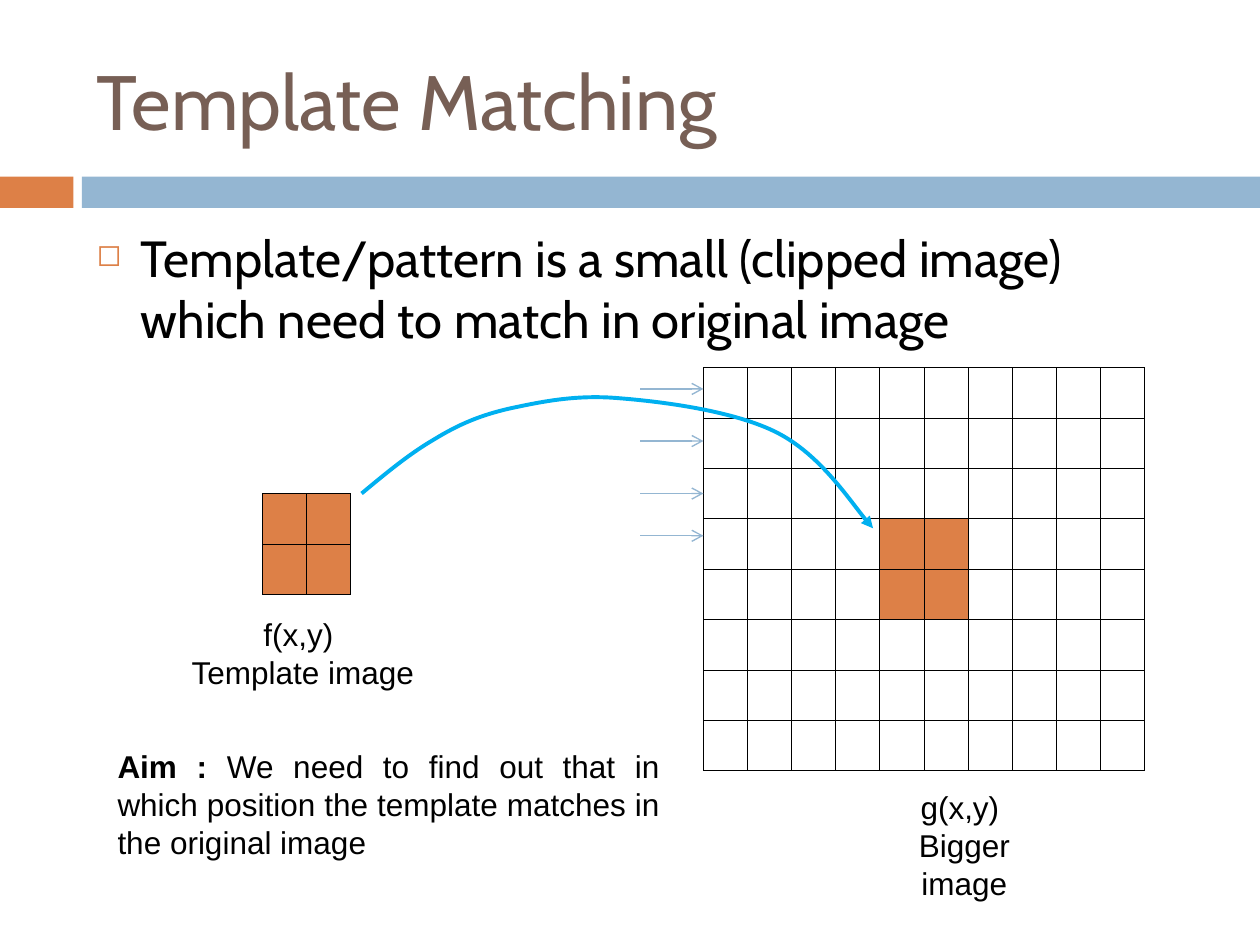
from lxml.etree import SubElement
from pptx import Presentation
from pptx.dml.color import RGBColor
from pptx.enum.shapes import MSO_CONNECTOR as Connector, MSO_SHAPE as Shape
from pptx.enum.text import MSO_ANCHOR as Anchor, MSO_AUTO_SIZE as AutoSize, PP_ALIGN as Align
from pptx.oxml import parse_xml
from pptx.oxml.ns import nsdecls, qn
from pptx.util import Cm, Pt

COLORS = {
    "orange": "DD8047",
    "band": "94B6D2",
    "title": "775F55",
    "text": "000000",
    "match": "00B0F0",
}


def rgb(name):
    return RGBColor.from_string(COLORS[name])


class SlideBuilder:
    heading_font = "Cabin"
    label_font = "Arial"

    def __init__(self, slide):
        self.slide = slide
        self.shapes = slide.shapes

    def bar(self, left, top, width, height, color):
        bar = self.shapes.add_shape(Shape.RECTANGLE, Cm(left), Cm(top), Cm(width), Cm(height))
        bar.shadow.inherit = False
        bar.fill.solid()
        bar.fill.fore_color.rgb = rgb(color)
        bar.line.fill.background()

    def text(self, box, paragraphs, size, font=label_font, color="text",
             align=Align.LEFT, anchor=Anchor.TOP, wrap=True, grow=False, bullet=None):
        """Each paragraph is a list of (text, bold) runs."""
        frame = self.shapes.add_textbox(*map(Cm, box)).text_frame
        frame.word_wrap = wrap
        frame.vertical_anchor = anchor
        frame.auto_size = AutoSize.SHAPE_TO_FIT_TEXT if grow else AutoSize.NONE
        for index, runs in enumerate(paragraphs):
            paragraph = frame.paragraphs[0] if index == 0 else frame.add_paragraph()
            paragraph.alignment = align
            if bullet:
                self.bullet(paragraph, bullet)
            for words, bold in runs:
                run = paragraph.add_run()
                run.text = words
                run.font.name = font
                run.font.size = Pt(size)
                run.font.bold = bold
                run.font.color.rgb = rgb(color)

    def bullet(self, paragraph, char, indent=0.89):
        props = paragraph._p.get_or_add_pPr()
        props.set("marL", str(Cm(indent)))
        props.set("indent", str(-Cm(indent)))
        color = SubElement(props, qn("a:buClr"))
        SubElement(color, qn("a:srgbClr"), val=COLORS["orange"])
        SubElement(props, qn("a:buSzPct"), val="60000")
        SubElement(props, qn("a:buChar"), char=char)

    def grid(self, left, top, width, height, rows, cols, filled):
        """A pixel grid; filled holds the (row, column) pairs to colour."""
        frame = self.shapes.add_table(rows, cols, Cm(left), Cm(top), Cm(width), Cm(height))
        table = frame.table
        table.first_row = table.horz_banding = False
        for row in table.rows:
            row.height = Cm(height / rows)
        for column in table.columns:
            column.width = Cm(width / cols)
        for r in range(rows):
            for c in range(cols):
                cell = table.cell(r, c)
                cell.margin_top = cell.margin_bottom = 0
                cell.text_frame.paragraphs[0].font.size = Pt(12)
                if (r, c) in filled:
                    cell.fill.solid()
                    cell.fill.fore_color.rgb = rgb("orange")
                else:
                    cell.fill.background()
                self.borders(cell)

    def borders(self, cell, width=0.45):
        props = cell._tc.get_or_add_tcPr()
        for position, side in enumerate(("lnL", "lnR", "lnT", "lnB")):
            props.insert(position, parse_xml(
                f'<a:{side} {nsdecls("a")} w="{Pt(width)}"><a:solidFill>'
                f'<a:srgbClr val="{COLORS["text"]}"/></a:solidFill></a:{side}>'))

    def stroke(self, item, color, width, head):
        item.line.color.rgb = rgb(color)
        item.line.width = Pt(width)
        SubElement(item.line._get_or_add_ln(), qn("a:tailEnd"), type=head)

    def arrow(self, x1, y1, x2, y2):
        arrow = self.shapes.add_connector(Connector.STRAIGHT, Cm(x1), Cm(y1), Cm(x2), Cm(y2))
        self.stroke(arrow, "band", 0.79, "arrow")
        SubElement(arrow._element.spPr, qn("a:effectLst"))

    def curve(self, start, points):
        """A Bézier path: every three points are two controls and an end."""
        emu = [(Cm(x), Cm(y)) for x, y in points]
        builder = self.shapes.build_freeform(Cm(start[0]), Cm(start[1]))
        builder.add_line_segments(emu, close=False)
        curve = builder.convert_to_shape()
        curve.shadow.inherit = False
        curve.fill.background()
        self.stroke(curve, "match", 2.25, "triangle")
        outline = next(curve._element.iter(qn("a:path")))
        segments = outline.findall(qn("a:lnTo"))
        for first in range(0, len(segments), 3):
            bezier = SubElement(outline, qn("a:cubicBezTo"))
            for segment in segments[first:first + 3]:
                bezier.append(segment[0])
                outline.remove(segment)


def main():
    deck = Presentation()
    deck.slide_width, deck.slide_height = Cm(25.4), Cm(19.05)
    page = SlideBuilder(deck.slides.add_slide(deck.slide_layouts[6]))

    # Header
    page.bar(0, 3.56, 1.48, 0.63, "orange")
    page.bar(1.65, 3.56, 23.75, 0.63, "band")
    page.text((1.7, 0.64, 22.65, 2.75), [[("Template Matching", False)]], 44,
              font=page.heading_font, color="title", anchor=Anchor.MIDDLE)

    # Definition
    definition = "Template/pattern is a small (clipped image) which need to match in original image"
    page.text((1.7, 4.45, 22.65, 2.75), [[(definition, False)]], 29,
              font=page.heading_font, bullet="◻")

    # Bigger image and template grids
    page.grid(14.18, 7.41, 8.89, 8.13, 8, 10, {(r, c) for r in (3, 4) for c in (4, 5)})
    page.grid(5.29, 9.95, 1.78, 2.03, 2, 2, {(r, c) for r in (0, 1) for c in (0, 1)})

    # Template to its matching position
    page.curve((7.29, 9.95), [
        (7.77, 9.55), (8.25, 9.15), (8.75, 8.86),
        (9.24, 8.56), (9.68, 8.37), (10.3, 8.23),
        (10.92, 8.1), (11.61, 7.95), (12.5, 8.03),
        (13.38, 8.1), (14.83, 8.29), (15.68, 8.73),
        (16.53, 9.17), (17.28, 10.31), (17.6, 10.65),
    ])

    # Captions
    captions = [
        ((3.58, 12.27, 5.05, 1.78), "f(x,y) ", "Template image"),
        ((17.32, 15.77, 4.24, 1.78), "g(x,y) ", "Bigger image"),
    ]
    for box, function, meaning in captions:
        page.text(box, [[(function, False)], [(meaning, False)]], 18,
                  align=Align.CENTER, wrap=False, grow=True)

    # Scan rows
    for y in (7.84, 8.89, 9.95, 10.8):
        page.arrow(12.91, y, 14.18, y)

    # Aim
    goal = " We need to find out that in which position the template matches in the original image"
    page.text((2.12, 14.94, 11.43, 2.54), [[("Aim :", True), (goal, False)]], 18,
              align=Align.JUSTIFY, grow=True)

    deck.save("out.pptx")


if __name__ == "__main__":
    main()
